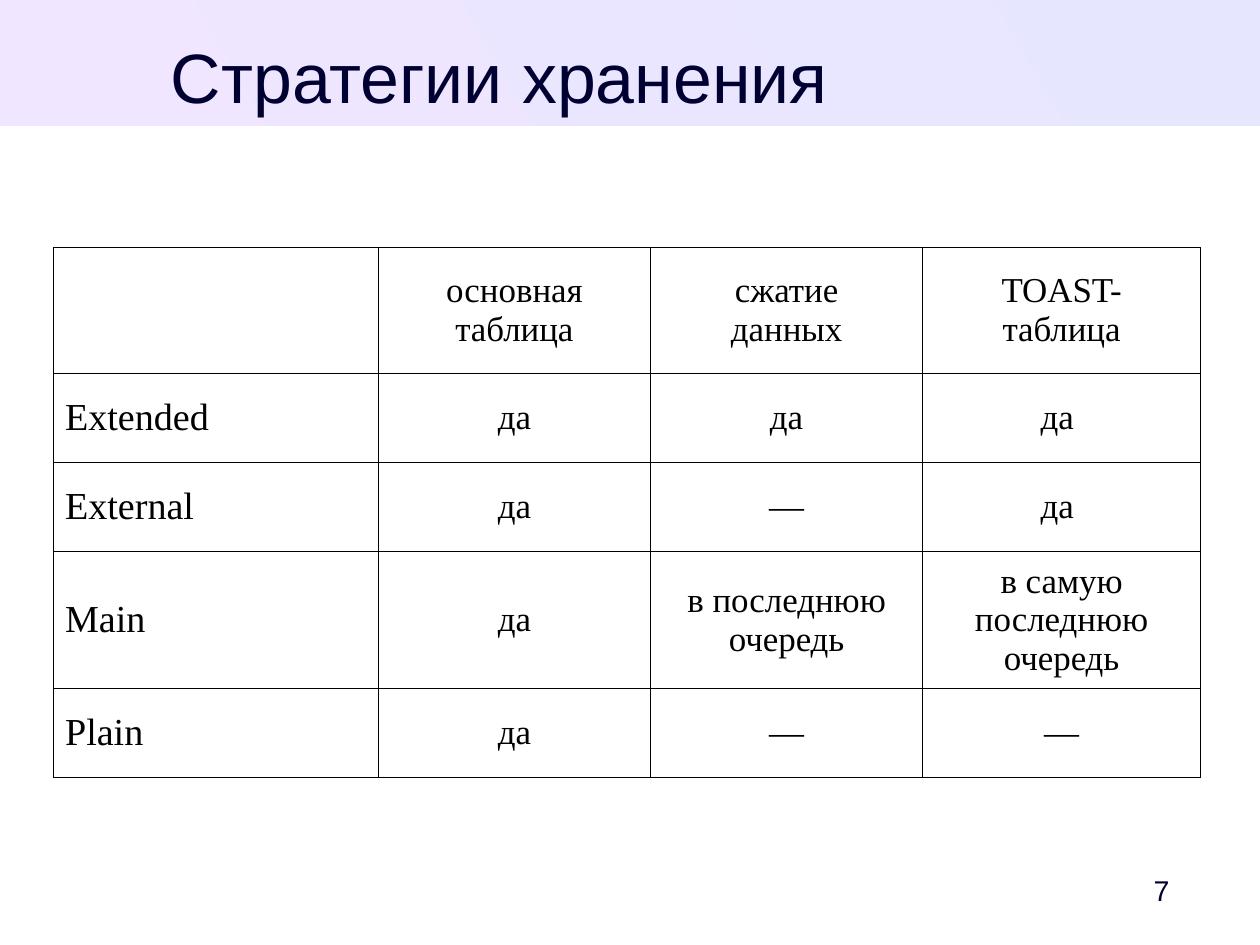
from dataclasses import dataclass

from lxml.etree import SubElement
from pptx import Presentation
from pptx.dml.color import RGBColor
from pptx.enum.shapes import MSO_SHAPE
from pptx.enum.text import MSO_ANCHOR, MSO_AUTO_SIZE, PP_ALIGN
from pptx.oxml.ns import qn
from pptx.slide import Slide
from pptx.table import _Cell
from pptx.text.text import TextFrame
from pptx.util import Cm, Inches, Length, Pt

WIDTH = Cm(28)
HEIGHT = Cm(21)


@dataclass(frozen=True)
class TextStyle:
    font: str
    size: float
    color: str
    align: PP_ALIGN
    anchor: MSO_ANCHOR
    insets: tuple[float, float, float, float]


@dataclass(frozen=True)
class Theme:
    background: str = "FFFFFF"
    band_start: str = "E6E6FF"
    band_end: str = "F0E6FF"
    rule: str = "000000"
    rule_width: float = 0.85
    title: TextStyle = TextStyle(
        "Arial", 44, "000033", PP_ALIGN.CENTER, MSO_ANCHOR.TOP, (0, 0, 0, 0))
    number: TextStyle = TextStyle(
        "Arial", 18, "000033", PP_ALIGN.RIGHT, MSO_ANCHOR.MIDDLE, (0.1, 0.05, 0.33, 0.05))
    strategy: TextStyle = TextStyle(
        "Times New Roman", 24, "000000", PP_ALIGN.LEFT, MSO_ANCHOR.MIDDLE, (0.1, 0.05, 0.1, 0.05))
    value: TextStyle = TextStyle(
        "Times New Roman", 22, "000000", PP_ALIGN.CENTER, MSO_ANCHOR.MIDDLE, (0.1, 0.05, 0.1, 0.05))


@dataclass(frozen=True)
class Area:
    left: float
    top: float
    width: float
    height: float

    def box(self) -> tuple[Length, Length, Length, Length]:
        return across(self.left), down(self.top), across(self.width), down(self.height)


@dataclass(frozen=True)
class Strategy:
    name: str
    main_table: str
    compression: str
    toast_table: str
    height: float = 9.43

    def texts(self) -> tuple[str, str, str, str]:
        return self.name, self.main_table, self.compression, self.toast_table


THEME = Theme()
BAND = Area(0, 0, 100, 13.3)
TITLE = Area(4.26, 3.51, 70.78, 8.34)
NUMBER = Area(87.93, 91.35, 7.89, 5.68)
COLUMNS = (25.77, 21.6, 21.6, 22.05)
STRATEGIES = (
    Strategy("", "основная\nтаблица", "сжатие\nданных", "TOAST-\nтаблица", 13.3),
    Strategy("Extended", "да", "да", "да "),
    Strategy("External", "да", "―", "да "),
    Strategy("Main", "да", "в последнюю очередь", "в самую\n\nпоследнюю очередь", 14.51),
    Strategy("Plain", "да", "―", "―"),
)
GRID = Area(4.26, 26.19, sum(COLUMNS), sum(row.height for row in STRATEGIES))


def across(percent: float) -> Length:
    return Length(round(WIDTH * percent / 100))


def down(percent: float) -> Length:
    return Length(round(HEIGHT * percent / 100))


def write(frame: TextFrame, text: str, style: TextStyle) -> None:
    for order, block in enumerate(text.split("\n\n")):
        paragraph = frame.add_paragraph() if order else frame.paragraphs[0]
        paragraph.alignment = style.align
        for position, line in enumerate(block.split("\n")):
            if position:
                paragraph.add_line_break()
            run = paragraph.add_run()
            run.text = line
            run.font.name = style.font
            run.font.size = Pt(style.size)
            run.font.color.rgb = RGBColor.from_string(style.color)


def set_margins(target: TextFrame | _Cell, style: TextStyle) -> None:
    target.vertical_anchor = style.anchor
    (target.margin_left, target.margin_top,
     target.margin_right, target.margin_bottom) = map(Inches, style.insets)


def write_box(frame: TextFrame, text: str, style: TextStyle) -> None:
    frame.word_wrap = True
    frame.auto_size = MSO_AUTO_SIZE.NONE
    set_margins(frame, style)
    write(frame, text, style)


def draw_band(slide: Slide) -> None:
    band = slide.shapes.add_shape(MSO_SHAPE.RECTANGLE, *BAND.box())
    band.shadow.inherit = False
    band.line.fill.background()
    band.fill.gradient()
    band.fill.gradient_angle = 210
    for stop, color in zip(band.fill.gradient_stops, (THEME.band_start, THEME.band_end)):
        stop.color.rgb = RGBColor.from_string(color)
    slide.shapes._spTree.insert(2, band._element)


def draw_title(slide: Slide) -> None:
    heading = slide.shapes.title
    heading.left, heading.top, heading.width, heading.height = TITLE.box()
    write_box(heading.text_frame, "Стратегии хранения", THEME.title)


def draw_number(slide: Slide) -> None:
    number = slide.shapes.add_textbox(*NUMBER.box())
    write_box(number.text_frame, "7", THEME.number)


def rule_cell(cell: _Cell) -> None:
    properties = cell._tc.get_or_add_tcPr()
    for side in ("a:lnL", "a:lnR", "a:lnT", "a:lnB"):
        edge = SubElement(properties, qn(side), w=str(Pt(THEME.rule_width)))
        paint = SubElement(edge, qn("a:solidFill"))
        SubElement(paint, qn("a:srgbClr"), val=THEME.rule)


def draw_strategies(slide: Slide) -> None:
    grid = slide.shapes.add_table(len(STRATEGIES), len(COLUMNS), *GRID.box()).table
    grid.first_row = False
    grid.horz_banding = False
    for column, width in zip(grid.columns, COLUMNS):
        column.width = across(width)
    for row, strategy in zip(grid.rows, STRATEGIES):
        row.height = down(strategy.height)
        for position, (cell, text) in enumerate(zip(row.cells, strategy.texts())):
            style = THEME.value if position else THEME.strategy
            set_margins(cell, style)
            rule_cell(cell)
            cell.fill.solid()
            cell.fill.fore_color.rgb = RGBColor.from_string(THEME.background)
            if text:
                write(cell.text_frame, text, style)


def main() -> None:
    deck = Presentation()
    deck.slide_width, deck.slide_height = WIDTH, HEIGHT
    slide = deck.slides.add_slide(deck.slide_layouts[5])
    slide.background.fill.solid()
    slide.background.fill.fore_color.rgb = RGBColor.from_string(THEME.background)
    draw_band(slide)
    draw_title(slide)
    draw_strategies(slide)
    draw_number(slide)
    deck.save("out.pptx")


if __name__ == "__main__":
    main()
